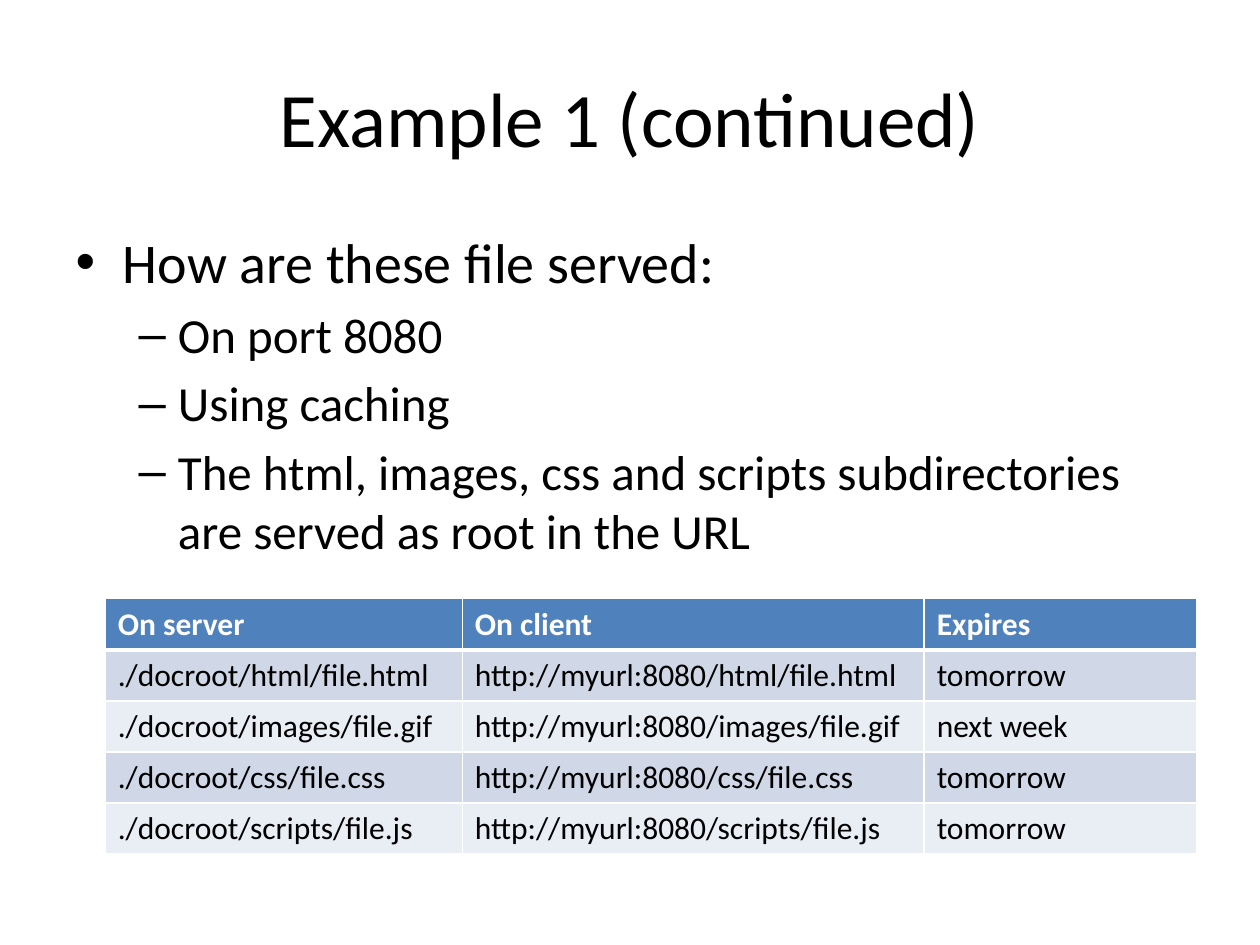
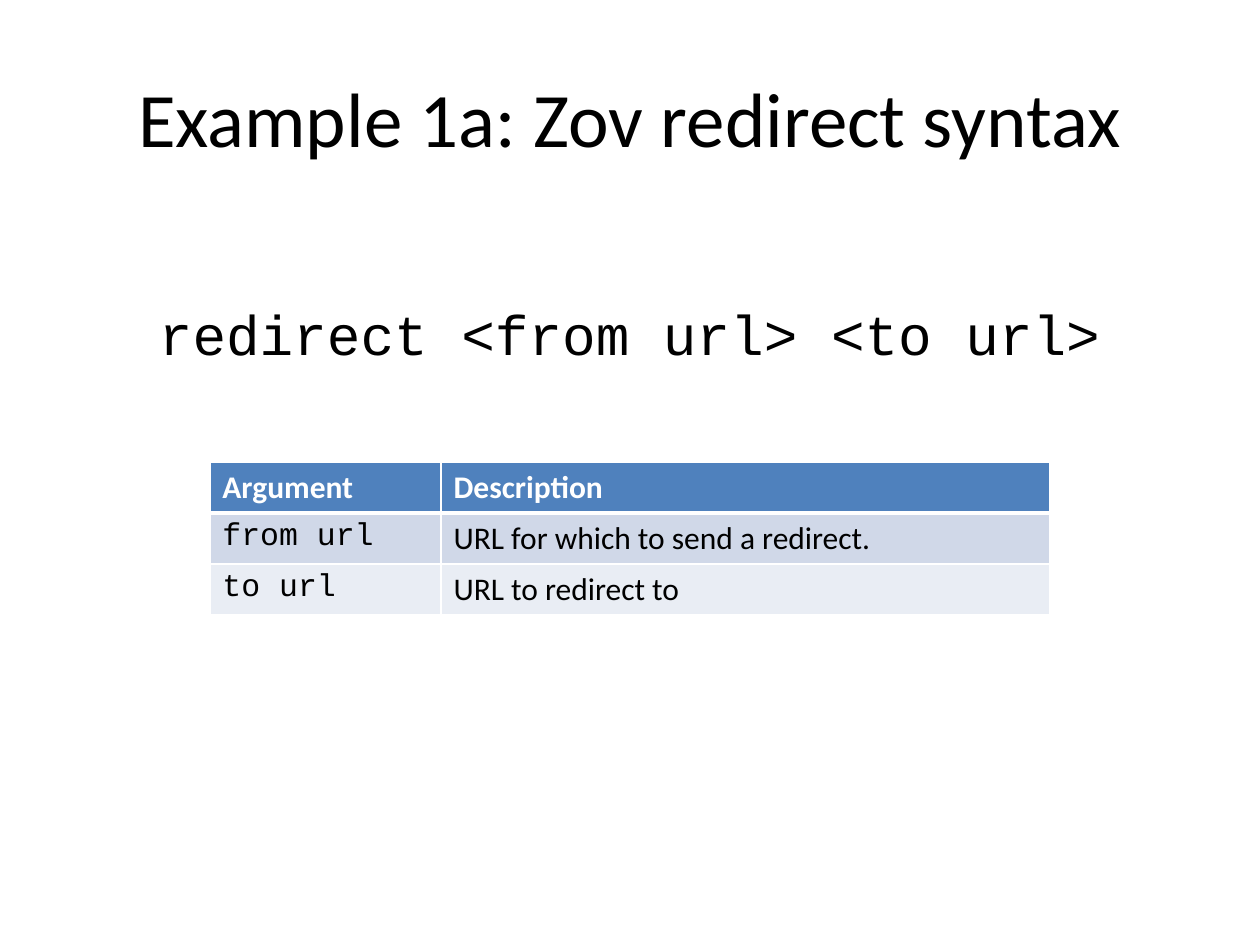
from dataclasses import dataclass

from lxml import etree
from pptx import Presentation, util as u
from pptx.dml.color import RGBColor
from pptx.enum import text
from pptx.oxml.ns import qn


@dataclass(frozen=True)
class Theme:
    ink: str = "000000"
    paper: str = "FFFFFF"
    header: str = "4F81BD"
    bands: tuple = ("D0D8E8", "E9EDF4")
    font: str = "Calibri"
    mono: str = "Courier New"
    title: int = 44
    levels: tuple = (32, 28)
    cell: int = 18
    thin: int = 1
    thick: int = 3
    row_height: float = 1.03


T = Theme()


# Text
def write(p, words, size, color=T.ink, **fmt):
    r = p.add_run()
    r.text = words
    for name, value in {"name": T.font, "size": u.Pt(size), **fmt}.items():
        setattr(r.font, name, value)
    r.font.color.rgb = RGBColor.from_string(color)


def place(sp, *box):
    for name, value in zip(("left", "top", "width", "height"), box):
        setattr(sp, name, u.Cm(value))


def add_slide(prs, title):
    s = prs.slides.add_slide(prs.slide_layouts[1])
    sp = s.shapes.title
    place(sp, 1.27, 0.76, 22.86, 3.18)
    tf = sp.text_frame
    tf.vertical_anchor = text.MSO_ANCHOR.MIDDLE
    p = tf.paragraphs[0]
    p.alignment = text.PP_ALIGN.CENTER
    write(p, title, T.title)
    return s


def body_frame(s, top, height):
    sp = s.placeholders[1]
    place(sp, 1.27, top, 22.86, height)
    return sp.text_frame


def add_bullets(s, top, height, items):
    tf = body_frame(s, top, height)
    for i, (level, words) in enumerate(items):
        p = tf.add_paragraph() if i else tf.paragraphs[0]
        p.level = level
        write(p, words, T.levels[level])


def add_syntax(s, top, height, code):
    p = body_frame(s, top, height).paragraphs[0]
    p.alignment = text.PP_ALIGN.CENTER
    etree.SubElement(p._p.get_or_add_pPr(), qn("a:buNone"))
    write(p, code, T.levels[0], name=T.mono)


# Tables
def add_borders(cell, **widths):
    tcPr = cell._tc.get_or_add_tcPr()
    for side in "LRTB":
        width = u.Pt(widths.get(side, T.thin))
        ln = etree.SubElement(tcPr, qn(f"a:ln{side}"), w=str(width))
        fill = etree.SubElement(ln, qn("a:solidFill"))
        etree.SubElement(fill, qn("a:srgbClr"), val=T.paper)


def add_table(s, left, top, widths, rows, mono_cols=()):
    frame = s.shapes.add_table(
        len(rows), len(widths), u.Cm(left), u.Cm(top),
        u.Cm(sum(widths)), u.Cm(T.row_height * len(rows)))
    table = frame.table
    for col, width in zip(table.columns, widths):
        col.width = u.Cm(width)
    for i, row in enumerate(rows):
        head = i == 0
        edges = {0: {"B": T.thick}, 1: {"T": T.thick}}.get(i, {})
        for j, words in enumerate(row):
            cell = table.cell(i, j)
            add_borders(cell, **edges)
            cell.fill.solid()
            color = T.header if head else T.bands[(i - 1) % 2]
            cell.fill.fore_color.rgb = RGBColor.from_string(color)
            write(cell.text_frame.paragraphs[0], words, T.cell,
                  T.paper if head else T.ink, bold=head,
                  name=T.mono if j in mono_cols and not head else T.font)


def main():
    prs = Presentation()
    prs.slide_width, prs.slide_height = u.Cm(25.4), u.Cm(19.05)

    # Served files: each one keeps its subdirectory in the URL
    s = add_slide(prs, "Example 1 (continued)")
    add_bullets(s, 4.45, 7.42, [
        (0, "How are these file served:"),
        (1, "On port 8080"),
        (1, "Using caching"),
        (1, "The html, images, css and scripts subdirectories "
            "are served as root in the URL"),
    ])
    files = [("html/file.html", "tomorrow"), ("images/file.gif", "next week"),
             ("css/file.css", "tomorrow"), ("scripts/file.js", "tomorrow")]
    add_table(s, 2.12, 12.07, (7.2, 9.31, 5.5), [
        ("On server", "On client", "Expires"),
        *((f"./docroot/{f}", f"http://myurl:8080/{f}", expires)
          for f, expires in files),
    ])

    # Redirect syntax and its arguments
    s = add_slide(prs, "Example 1a: Zov redirect syntax")
    add_syntax(s, 5.92, 12.57, "redirect <from url> <to url>")
    add_table(s, 4.23, 9.31, (4.66, 12.28), [
        ("Argument", "Description"),
        ("from url", "URL for which to send a redirect."),
        ("to url", "URL to redirect to"),
    ], mono_cols=(0,))

    prs.save("out.pptx")


if __name__ == "__main__":
    main()
